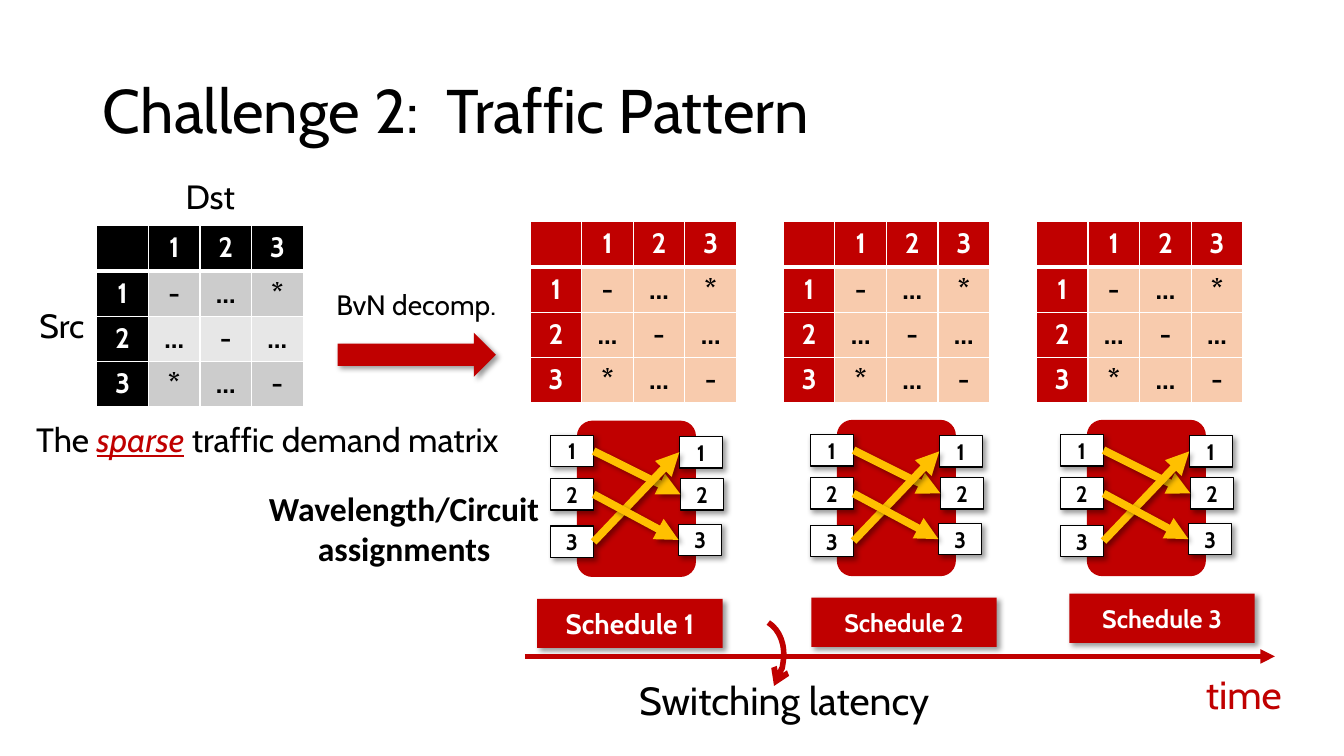
from lxml.etree import SubElement
from pptx import Presentation
from pptx.dml.color import RGBColor as Rgb
from pptx.enum.shapes import MSO_CONNECTOR as Link, MSO_SHAPE as Kind
from pptx.enum.text import MSO_ANCHOR as Anchor, PP_ALIGN as Align
from pptx.oxml import parse_xml
from pptx.oxml.ns import nsdecls, qn
from pptx.util import Cm, Pt

HUES = {"red": "C00000", "gold": "FFC000", "black": "000000", "white": "FFFFFF",
        "gray": "CCCCCC", "pale": "E7E7E7", "peach": "F8CBAD"}
FONT = "Cabin"

# All lengths are centimetres.
GRID = [["", "1", "2", "3"],
        ["1", "-", "…", "*"],
        ["2", "…", "-", "…"],
        ["3", "*", "…", "-"]]
CELL = (1.3, 1.14)
DEMAND = (2.44, 5.69)
PARTS = [(13.36 + 6.38 * i, 5.59) for i in range(3)]

SWITCHES = [(13.87, 10.97), (20.42, 10.95), (26.72, 10.95)]
BODY = (0.67, -0.37, 3, 3.94)
PORT = (1.09, 0.79)
INPUTS = [(0, 0), (0, 1.09), (0, 2.29)]
OUTPUTS = [(3.25, 0.03), (3.28, 1.09), (3.23, 2.24)]
ROUTES = [(1, 2), (3, 1), (2, 3)]

PLANS = [("Schedule 1", 13.54, 15.09, 20),
         ("Schedule 2", 20.45, 15.06, 18),
         ("Schedule 3", 26.95, 14.96, 18)]
PLAN = (4.67, 1.24)

# Text, box, size, colour, centred
LABELS = [("Src", (0.1, 7.57, 2.92, 1.2), 24, "black", True),
          ("Dst", (3.84, 4.32, 2.92, 1.2), 24, "black", True),
          ("time", (28.93, 16.76, 4.83, 1.45), 28, "red", True),
          ("Switching latency", (14.73, 16.92, 10.06, 1.5), 28, "black", True),
          ("BvN decomp.", (8.23, 7.11, 5.18, 1.12), 20, "black", False)]
TITLE = ("Challenge 2:  Traffic Pattern", (2.34, 1.02, 29.21, 3.68))
ASSIGN = ("Wavelength/Circuit\nassignments", (6.25, 12.17, 7.87, 2.31))
MATRIX = (["The ", "sparse", " traffic demand matrix"], (0.66, 10.44, 14.63, 1.27))

deck = Presentation()
deck.slide_width, deck.slide_height = Cm(33.87), Cm(19.05)
slide = deck.slides.add_slide(deck.slide_layouts[6])
shapes = slide.shapes


def hue(name):
    return Rgb.from_string(HUES[name])


def style(frame, size, color, bold=False, align=Align.CENTER, font=FONT):
    for para in frame.paragraphs:
        para.alignment = align
        for run in para.runs:
            run.font.name, run.font.size, run.font.bold = font, Pt(size), bold
            run.font.color.rgb = hue(color)


def effect(shape, cast):
    """Cast a soft shadow, or switch the theme shadow off."""
    props = shape.element.spPr
    for old in props.findall(qn("a:effectLst")):
        props.remove(old)
    effects = SubElement(props, qn("a:effectLst"))
    if cast:
        effects.append(parse_xml(
            f'<a:outerShdw {nsdecls("a")} blurRad="{Pt(4)}" dist="{Pt(3)}" '
            'dir="2700000" algn="tl" rotWithShape="0"><a:srgbClr val="000000">'
            '<a:alpha val="40000"/></a:srgbClr></a:outerShdw>'))


def stroke(shape, color, width, head=None):
    shape.line.color.rgb = hue(color)
    shape.line.width = Pt(width)
    if head:
        SubElement(shape.line._get_or_add_ln(), qn("a:tailEnd"), type=head)


def block(kind, box, fill, cast=True, edge=None):
    shape = shapes.add_shape(kind, *map(Cm, box))
    shape.fill.solid()
    shape.fill.fore_color.rgb = hue(fill)
    if edge:
        stroke(shape, edge, 1)
    else:
        shape.line.fill.background()
    effect(shape, cast)
    return shape


def write(shape, text, size, color):
    frame = shape.text_frame
    frame.text = text
    frame.vertical_anchor = Anchor.MIDDLE
    style(frame, size, color, True)


def label(text, box, size, color="black", **look):
    frame = shapes.add_textbox(*map(Cm, box)).text_frame
    frame.word_wrap = True
    frame.text = text
    style(frame, size, color, **look)
    return frame


def border(cell, row):
    """Thin white cell edges, with a thick rule under the header row."""
    props = cell._tc.get_or_add_tcPr()
    widths = {"L": 1, "R": 1, "T": 3 if row == 1 else 1, "B": 1 if row else 3}
    for spot, (side, width) in enumerate(widths.items()):
        props.insert(spot, parse_xml(
            f'<a:ln{side} {nsdecls("a")} w="{Pt(width)}"><a:solidFill>'
            f'<a:srgbClr val="{HUES["white"]}"/></a:solidFill></a:ln{side}>'))


def matrix(spot, head, bands):
    size = [4 * side for side in CELL]
    table = shapes.add_table(4, 4, *map(Cm, (*spot, *size))).table
    table.first_row = table.horz_banding = False
    for i in range(4):
        table.columns[i].width, table.rows[i].height = map(Cm, CELL)
    for r, line in enumerate(GRID):
        for c, text in enumerate(line):
            cell = table.cell(r, c)
            edge = r == 0 or c == 0
            cell.text = text
            style(cell.text_frame, 20, "white" if edge else "black", True)
            cell.fill.solid()
            cell.fill.fore_color.rgb = hue(head if edge else bands[r % 2])
            border(cell, r)


def ports(x, y, spots):
    made = []
    for num, (dx, dy) in enumerate(spots, 1):
        port = block(Kind.RECTANGLE, (x + dx, y + dy, *PORT), "white", edge="black")
        write(port, str(num), 16, "black")
        made.append(port)
    return made


def switch(x, y):
    dx, dy, width, height = BODY
    body = block(Kind.ROUNDED_RECTANGLE, (x + dx, y + dy, width, height), "red", False)
    body.adjustments[0] = 0.13
    left, right = ports(x, y, INPUTS), ports(x, y, OUTPUTS)
    for src, dst in ROUTES:
        route = shapes.add_connector(Link.STRAIGHT, 0, 0, 0, 0)
        route.begin_connect(left[src - 1], 3)
        route.end_connect(right[dst - 1], 1)
        stroke(route, "gold", 5.5, "triangle")
        effect(route, True)


matrix(DEMAND, "black", ("pale", "gray"))
for spot in PARTS:
    matrix(spot, "red", ("peach", "peach"))
block(Kind.RIGHT_ARROW, (8.51, 8.38, 3.99, 1.12), "red")
label(*ASSIGN, 24, bold=True, font="Calibri")

for spot in SWITCHES:
    switch(*spot)
for text, x, y, size in PLANS:
    write(block(Kind.RECTANGLE, (x, y, *PLAN), "red"), text, size, "white")

axis = shapes.add_connector(Link.STRAIGHT, *map(Cm, (13.23, 16.54, 32.13, 16.54)))
stroke(axis, "red", 3.5, "triangle")
effect(axis, False)

arc = shapes.add_shape(Kind.ARC, *map(Cm, (17.7, 15.49, 1.96, 2.54)))
arc.rotation = 32.5
arc.fill.background()
stroke(arc, "red", 4, "arrow")
effect(arc, False)

for text, box, size, color, mid in LABELS:
    label(text, box, size, color, align=Align.CENTER if mid else Align.LEFT)

title = label(*TITLE, 44, align=Align.LEFT)
title.vertical_anchor = Anchor.MIDDLE
title.paragraphs[0].line_spacing = 0.9

words, box = MATRIX
note = label("", box, 24)
for word in words:
    note.paragraphs[0].add_run().text = word
style(note, 24, "black", align=Align.LEFT)
sparse = note.paragraphs[0].runs[1].font
sparse.italic = sparse.underline = True
sparse.color.rgb = hue("red")

deck.save("out.pptx")
